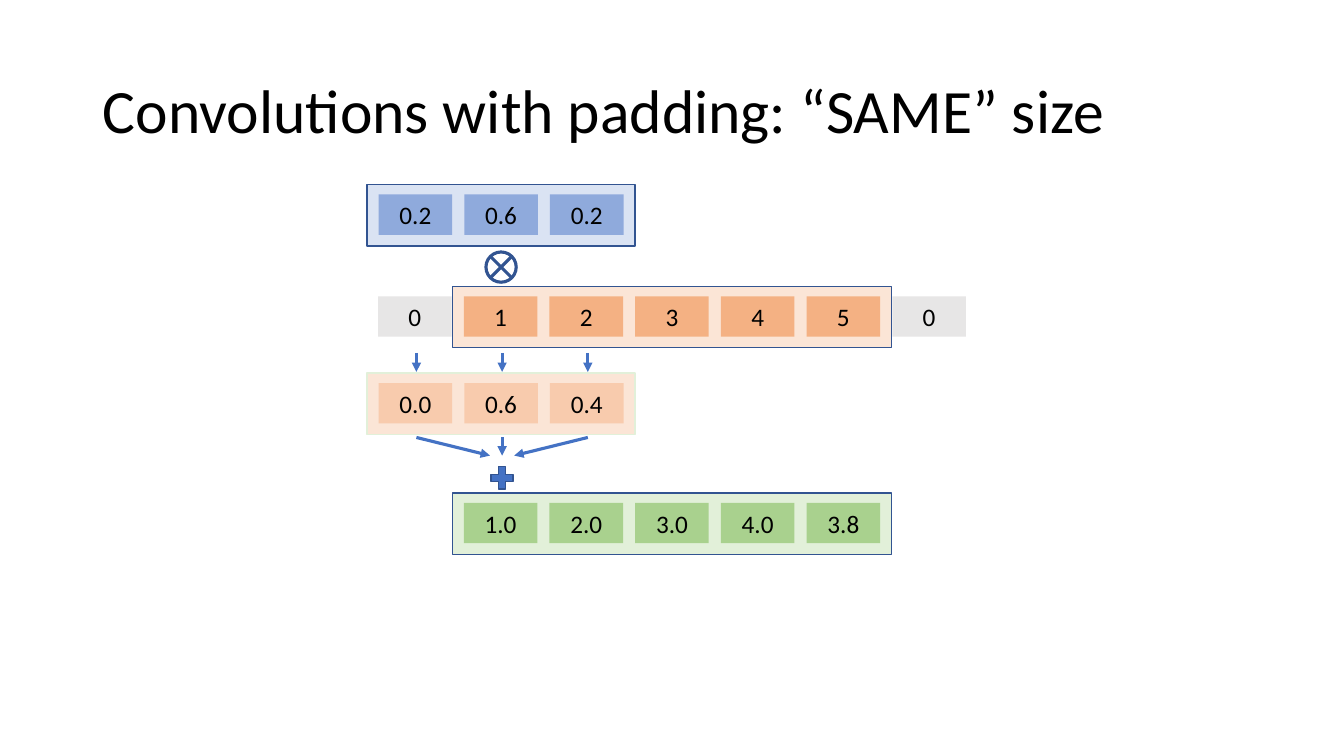
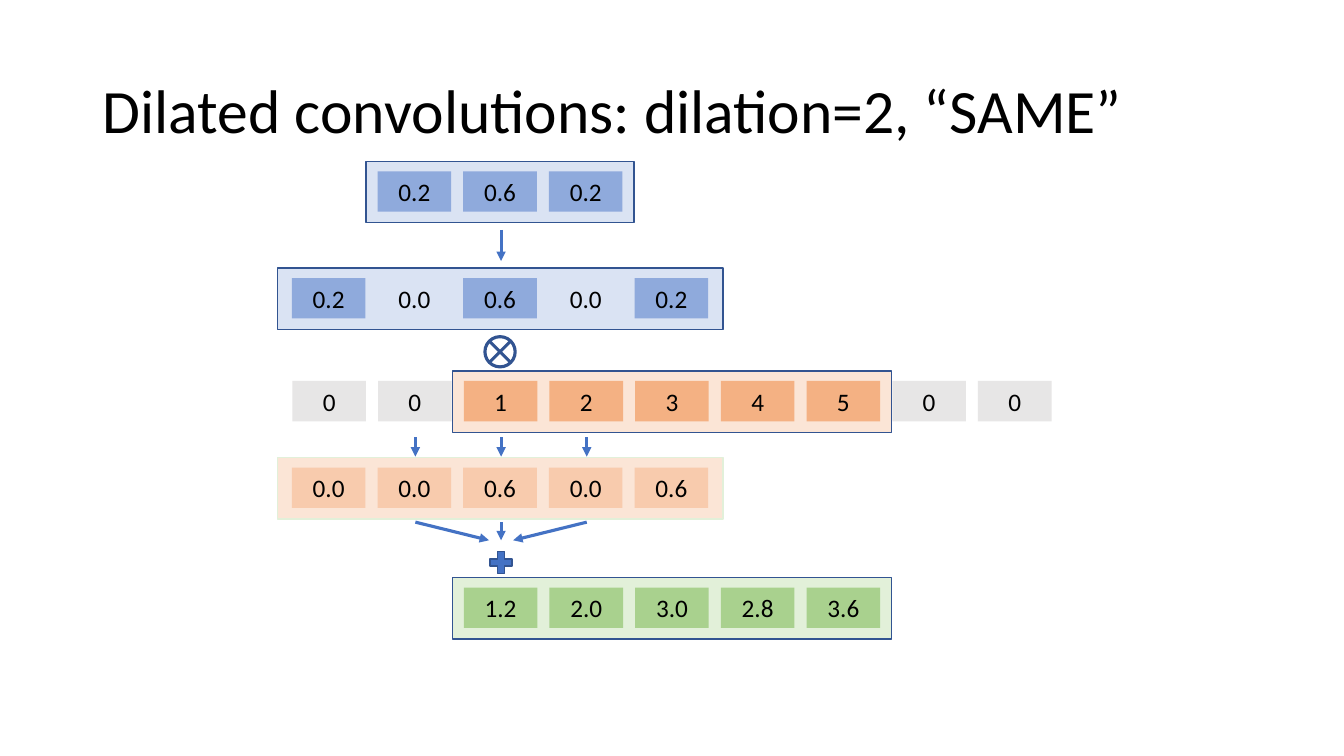
"""Build two slides that explain padded and dilated one-dimensional convolutions."""
import pptx
import pptx.dml.color
import pptx.enum.shapes
import pptx.enum.text
import pptx.oxml
import pptx.oxml.ns
import pptx.util

Inches = pptx.util.Inches
Pt = pptx.util.Pt
PRESET = pptx.enum.shapes.MSO_SHAPE
FONT = "Calibri"

COLORS = {
    "text": "000000", "outline": "325491", "accent": "4472C4", "padding": "E7E6E6",
    "kernel": "8FAADC", "kernel_panel": "DAE3F3",
    "input": "F4B183", "input_panel": "FBE5D6",
    "product": "F8CBAD", "product_panel": "FBE5D6", "product_outline": "E2F0D9",
    "output": "A9D18E", "output_panel": "E2F0D9",
}

DIAGRAMS = [
    {
        "title": "Convolutions with padding: “SAME” size",
        "axis": 4.97,
        "kernels": [(1.83, 2.66, ["0.2", "0.6", "0.2"])],
        "input_top": 2.84,
        "input": ["1", "2", "3", "4", "5"],
        "padding": 1,
        "products": (2.66, ["0.0", "0.6", "0.4"]),
        "output": ["1.0", "2.0", "3.0", "4.0", "3.8"],
    },
    {
        "title": "Dilated convolutions: dilation=2, “SAME”",
        "axis": 4.96,
        "kernels": [
            (1.6, 2.66, ["0.2", "0.6", "0.2"]),
            (2.66, 4.42, ["0.2", "0.0", "0.6", "0.0", "0.2"]),
        ],
        "input_top": 3.68,
        "input": ["1", "2", "3", "4", "5"],
        "padding": 2,
        "products": (4.42, ["0.0", "0.0", "0.6", "0.0", "0.6"]),
        "output": ["1.2", "2.0", "3.0", "2.8", "3.6"],
    },
]

SLIDE_W, SLIDE_H = 13.33, 7.5
SIGNAL_CENTER, SIGNAL_W = SLIDE_W / 2, 4.35
CELL_W, CELL_H, PITCH = 0.73, 0.4, 0.85
PANEL_H, CELL_INSET = 0.61, 0.1
SYMBOL = 0.3


def rgb(name):
    return pptx.dml.color.RGBColor.from_string(COLORS[name])


def add_run(paragraph, text, size):
    run = paragraph.add_run()
    run.text = text
    run.font.name = FONT
    run.font.size = Pt(size)
    run.font.color.rgb = rgb("text")


def add_title(slide, text):
    title = slide.shapes.title
    title.left, title.top = Inches(0.92), Inches(0.4)
    title.width, title.height = Inches(11.5), Inches(1.45)
    title.text_frame.vertical_anchor = pptx.enum.text.MSO_ANCHOR.MIDDLE
    heading = title.text_frame.paragraphs[0]
    heading.alignment = pptx.enum.text.PP_ALIGN.LEFT
    heading.line_spacing = 0.9
    add_run(heading, text, 44)


def add_figure(shapes, preset, left, top, width, height, fill=None, outline=None, weight=1):
    figure = shapes.add_shape(preset, Inches(left), Inches(top), Inches(width), Inches(height))
    figure.shadow.inherit = False
    if fill:
        figure.fill.solid()
        figure.fill.fore_color.rgb = rgb(fill)
    else:
        figure.fill.background()
    if outline:
        figure.line.color.rgb = rgb(outline)
        figure.line.width = Pt(weight)
    else:
        figure.line.fill.background()
    return figure


def add_strip(slide, kind, center, top, width, values, padding=0, outline="outline"):
    shapes = slide.shapes.add_group_shape().shapes
    panel = kind + "_panel"
    add_figure(shapes, PRESET.RECTANGLE, center - width / 2, top, width, PANEL_H, panel, outline)
    first = center - ((len(values) - 1) * PITCH + CELL_W) / 2
    padded = ["0"] * padding + values + ["0"] * padding
    for slot, value in enumerate(padded, -padding):
        fill = kind
        if not 0 <= slot < len(values):
            fill = "padding"
        elif kind == "kernel" and value == "0.0":
            fill = panel
        cell = add_figure(shapes, PRESET.RECTANGLE, first + slot * PITCH, top + CELL_INSET,
                          CELL_W, CELL_H, fill)
        cell.text_frame.vertical_anchor = pptx.enum.text.MSO_ANCHOR.MIDDLE
        paragraph = cell.text_frame.paragraphs[0]
        paragraph.alignment = pptx.enum.text.PP_ALIGN.CENTER
        add_run(paragraph, value, 18)


def add_arrow(slide, x1, y1, x2, y2):
    arrow = slide.shapes.add_connector(pptx.enum.shapes.MSO_CONNECTOR.STRAIGHT,
                                       Inches(x1), Inches(y1), Inches(x2), Inches(y2))
    arrow.line.color.rgb = rgb("accent")
    arrow.line.width = Pt(2.25)
    head = pptx.oxml.parse_xml(f'<a:tailEnd {pptx.oxml.ns.nsdecls("a")} type="triangle"/>')
    arrow.line._get_or_add_ln().append(head)
    no_effects = pptx.oxml.parse_xml(f'<a:effectLst {pptx.oxml.ns.nsdecls("a")}/>')
    arrow._element.spPr.append(no_effects)


def add_diagram(slide, diagram):
    axis, top = diagram["axis"], diagram["input_top"]
    flow = axis + 0.01
    add_title(slide, diagram["title"])
    add_strip(slide, "input", SIGNAL_CENTER, top, SIGNAL_W, diagram["input"], diagram["padding"])
    add_strip(slide, "output", SIGNAL_CENTER, top + 2.05, SIGNAL_W, diagram["output"])
    for kernel_top, width, weights in diagram["kernels"]:
        add_strip(slide, "kernel", axis, kernel_top, width, weights)
    for kernel_top, _, _ in diagram["kernels"][:-1]:
        add_arrow(slide, flow, kernel_top + 0.68, flow, kernel_top + 0.99)
    width, products = diagram["products"]
    add_strip(slide, "product", axis, top + 0.86, width, products, outline="product_outline")
    add_figure(slide.shapes, PRESET.FLOWCHART_SUMMING_JUNCTION, axis - SYMBOL / 2, top - 0.34,
               SYMBOL, SYMBOL, outline="outline", weight=2.25)
    add_figure(slide.shapes, PRESET.MATH_PLUS, flow - SYMBOL / 2, top + 1.75,
               SYMBOL, SYMBOL, "accent", "outline")
    for side in (-1, 0, 1):
        column = flow + side * PITCH
        add_arrow(slide, column, top + 0.66, column, top + 0.85)
        add_arrow(slide, column, top + 1.5, flow + side * 0.12, top + 1.68)


def main():
    deck = pptx.Presentation()
    deck.slide_width, deck.slide_height = Inches(SLIDE_W), Inches(SLIDE_H)
    title_only = deck.slide_layouts[5]
    for diagram in DIAGRAMS:
        add_diagram(deck.slides.add_slide(title_only), diagram)
    deck.save("out.pptx")


if __name__ == "__main__":
    main()
